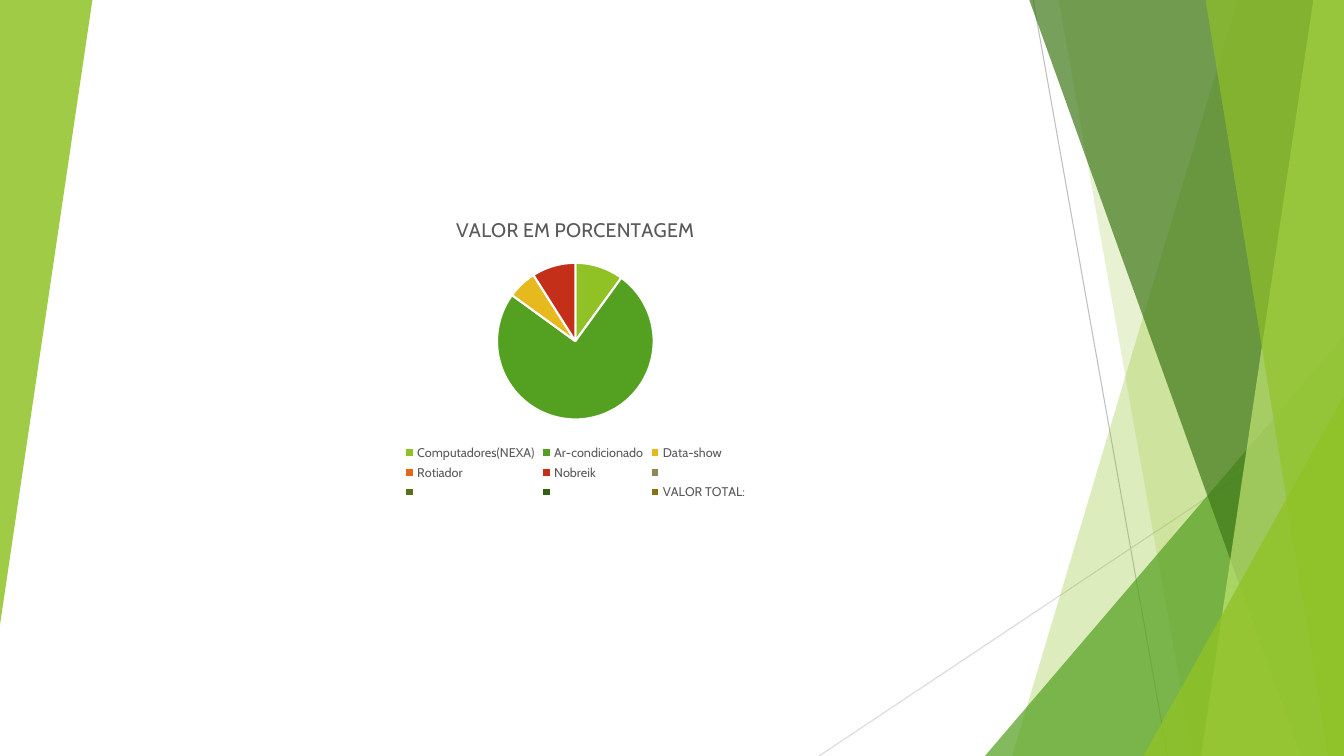
from dataclasses import dataclass
from lxml import etree
from pptx import Presentation
from pptx import util as u
from pptx.chart.data import CategoryChartData
from pptx.dml.color import RGBColor
from pptx.enum import chart as kinds, shapes
from pptx.oxml import ns

PX = 9525


@dataclass(frozen=True)
class Theme:
    font: str = "Cabin"
    lime: str = "90C226"
    green: str = "54A021"
    moss: str = "3F7819"
    pale: str = "C0E474"
    white: str = "FFFFFF"
    ink: str = "595959"
    black: str = "000000"
    grey: str = "BFBFBF"
    mist: str = "D9D9D9"
    pie: tuple = ("90C226", "54A021", "E6B91E", "E76618", "C42F1A",
                  "918655", "567417", "326014", "8C7010")
    base: int = 10
    title: int = 14
    legend: int = 9


T = Theme()


def px(*nums):
    return [u.Emu(n * PX) for n in nums]


def tint(shape, color, alpha):
    shape.shadow.inherit = False
    shape.line.fill.background()
    shape.fill.solid()
    shape.fill.fore_color.rgb = RGBColor.from_string(color)
    clr = shape.fill._xPr.find(".//" + ns.qn("a:srgbClr"))
    etree.SubElement(clr, ns.qn("a:alpha"), val=str(alpha * 1000))


def line(slide, start, end, color):
    rule = slide.shapes.add_connector(
        shapes.MSO_CONNECTOR.STRAIGHT, *px(*start, *end))
    rule.line.color.rgb = RGBColor.from_string(color)
    rule.line.width = u.Pt(0.75)
    etree.SubElement(rule._element.spPr, ns.qn("a:effectLst"))


def wedge(slide, box, color, alpha, turn=0):
    shape = slide.shapes.add_shape(
        shapes.MSO_SHAPE.ISOSCELES_TRIANGLE, *px(*box))
    shape.adjustments[0] = 1
    shape.rotation = turn
    tint(shape, color, alpha)


def facet(slide, box, top, base, color, alpha):
    x, y, w, h = box
    pen = slide.shapes.build_freeform(x + top, y - 1, scale=PX)
    pen.add_line_segments(
        [(x + w, y - 1), (x + w, y + h), (x + base, y + h)], close=True)
    tint(pen.convert_to_shape(), color, alpha)


def shards(slide, box):
    x, y, w, h = box
    line(slide, (x + 204, y), (x + 332, y + h), T.grey)
    line(slide, (x + w, y + 387), (x, y + h), T.mist)

    def corner(dx, dy, color, alpha):
        wedge(slide, (x + dx, y + dy, w - dx, h - dy), color, alpha)

    facet(slide, box, 399, 184, T.lime, 30)
    facet(slide, box, 228, 356, T.lime, 20)
    corner(158, 320, T.green, 72)
    facet(slide, box, 200, 459, T.moss, 70)
    facet(slide, box, 471, 364, T.pale, 70)
    facet(slide, box, 368, 485, T.lime, 65)
    corner(309, 377, T.lime, 80)


def style(font, size, color):
    font.name = T.font
    font.size = u.Pt(size)
    font.bold = False
    font.color.rgb = RGBColor.from_string(color)


def pie(slide, box):
    name = "VALOR EM PORCENTAGEM"
    data = CategoryChartData()
    data.categories = ["Computadores(NEXA)", "Ar-condicionado", "Data-show",
                       "Rotiador", "Nobreik", "", "", "", "VALOR TOTAL:"]
    data.add_series(name, [10, 75, 6, 0, 9] + [None] * 4)
    chart = slide.shapes.add_chart(
        kinds.XL_CHART_TYPE.PIE, *px(*box), data).chart
    style(chart.font, T.base, T.black)
    chart.has_title = True
    head = chart.chart_title.text_frame
    head.text = name
    style(head.paragraphs[0].font, T.title, T.ink)
    chart.chart_title.include_in_layout = False
    chart.has_legend = True
    chart.legend.position = kinds.XL_LEGEND_POSITION.BOTTOM
    chart.legend.include_in_layout = False
    style(chart.legend.font, T.legend, T.ink)
    plot = chart.plots[0]
    plot.vary_by_categories = True
    for i, color in enumerate(T.pie):
        part = plot.series[0].points[i].format
        part.fill.solid()
        part.fill.fore_color.rgb = RGBColor.from_string(color)
        part.line.color.rgb = RGBColor.from_string(T.white)
        part.line.width = u.Pt(1.5)


def main():
    deck = Presentation()
    deck.slide_width, deck.slide_height = px(1280, 720)
    slide = deck.slides.add_slide(deck.slide_layouts[6])
    shards(slide, (780, 0, 500, 720))
    wedge(slide, (0, 0, 88, 595), T.lime, 85, 180)
    pie(slide, (308, 192, 480, 288))
    deck.save("out.pptx")


if __name__ == "__main__":
    main()
